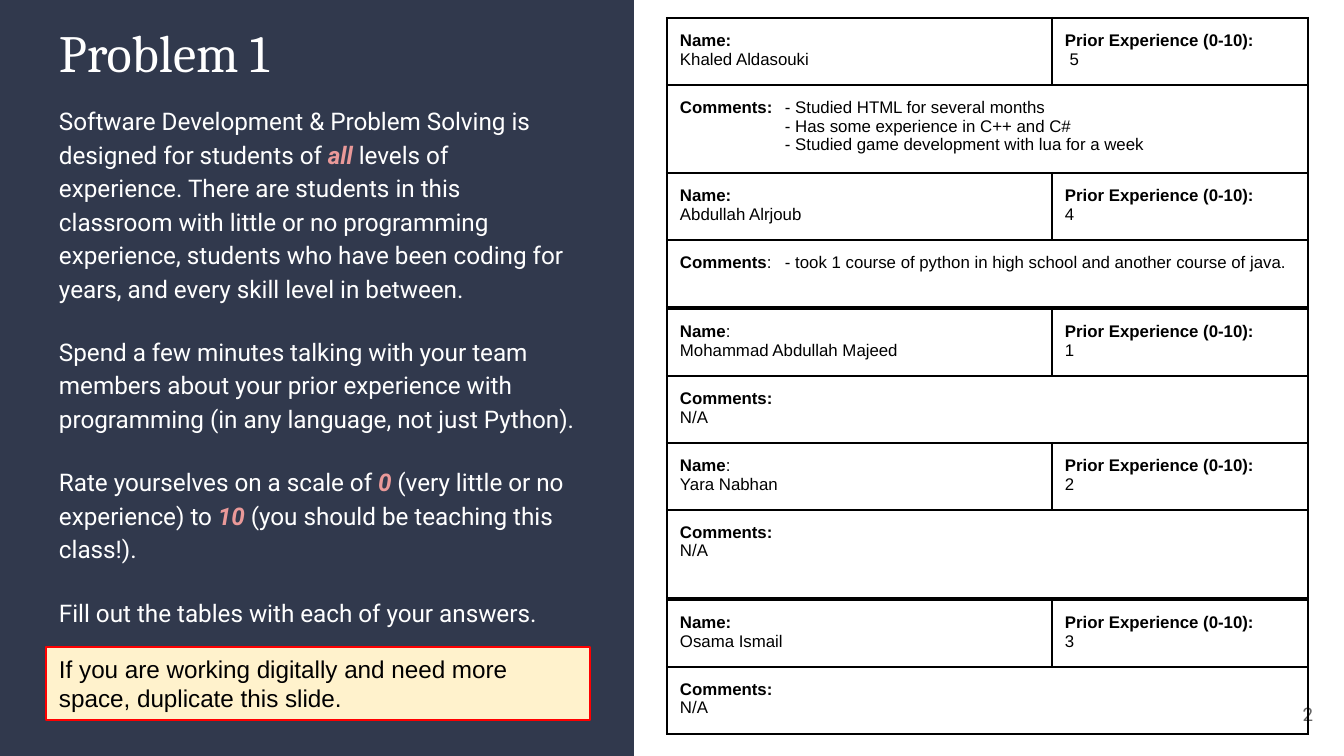
from lxml import etree
from pptx import Presentation
from pptx.dml.color import RGBColor
from pptx.enum.shapes import MSO_SHAPE
from pptx.enum.text import MSO_ANCHOR, PP_ALIGN
from pptx.oxml.ns import qn
from pptx.util import Pt

EMU_PER_PX = 914400 / 134.4
RECTANGLE = MSO_SHAPE.RECTANGLE
TOP, MIDDLE = MSO_ANCHOR.TOP, MSO_ANCHOR.MIDDLE
RIGHT = PP_ALIGN.RIGHT

NAVY = RGBColor(0x31, 0x39, 0x4D)
WHITE = RGBColor(0xFF, 0xFF, 0xFF)
BLACK = RGBColor(0, 0, 0)
GRAY = RGBColor(0x66, 0x66, 0x66)
PINK = RGBColor(0xEA, 0x99, 0x99)
CREAM = RGBColor(0xFF, 0xF2, 0xCC)
RED = RGBColor(0xFF, 0, 0)

# Each paragraph is a list of (text, is emphasized) runs.
INSTRUCTIONS = [
    [("Software Development & Problem Solving is designed for students of ", False),
     ("all ", True),
     ("levels of experience. There are students in this classroom with little or no "
      "programming experience, students who have been coding for years, and every "
      "skill level in between.", False)],
    [("Spend a few minutes talking with your team members about your prior experience "
      "with programming (in any language, not just Python).", False)],
    [("Rate yourselves on a scale of ", False), ("0", True),
     (" (very little or no experience) to ", False), ("10", True),
     (" (you should be teaching this class!).", False)],
    [("Fill out the tables with each of your answers.", False)],
]

TABLE_LEFT = 667
COLUMN_WIDTHS = (385, 256)
ROW_HEIGHT, TALL_ROW_HEIGHT = 67, 88
COMMENT_INDENT = 105
CELL_MARGIN = 13

# Top, comment row height, name, bold name label, rating, bold comment label, comments
STUDENTS = [
    (18, TALL_ROW_HEIGHT, "Khaled Aldasouki", "Name:", " 5", "Comments:",
     ["- Studied HTML for several months", "- Has some experience in C++ and C#",
      "- Studied game development with lua for a week"]),
    (173, ROW_HEIGHT, "Abdullah Alrjoub", "Name:", "4", "Comments",
     ["- took 1 course of python in high school and another course of java."]),
    (309, ROW_HEIGHT, "Mohammad Abdullah Majeed", "Name", "1", "Comments:", []),
    (443, TALL_ROW_HEIGHT, "Yara Nabhan", "Name", "2", "Comments:", []),
    (600, ROW_HEIGHT, "Osama Ismail", "Name:", "3", "Comments:", []),
]


def px(length):
    return round(length * EMU_PER_PX)


def add_run(paragraph, text, font, size, color, bold=False, italic=False):
    run = paragraph.add_run()
    run.text = text
    run.font.name = font
    run.font.size = Pt(size)
    run.font.color.rgb = color
    run.font.bold = bold
    run.font.italic = italic


def next_paragraph(text_frame):
    """Return the untouched first paragraph, or a new one."""
    first = text_frame.paragraphs[0]
    return text_frame.add_paragraph() if first.runs else first


def prepare_text_frame(text_frame, anchor):
    text_frame.word_wrap = True
    text_frame.vertical_anchor = anchor
    text_frame.margin_left = text_frame.margin_right = px(CELL_MARGIN)
    text_frame.margin_top = text_frame.margin_bottom = px(CELL_MARGIN)
    return text_frame


def add_text_box(slide, left, top, width, height, anchor=TOP):
    box = slide.shapes.add_textbox(px(left), px(top), px(width), px(height))
    return prepare_text_frame(box.text_frame, anchor)


def add_rectangle(slide, left, top, width, height, fill, line=None):
    shape = slide.shapes.add_shape(RECTANGLE, px(left), px(top), px(width), px(height))
    shape.shadow.inherit = False
    shape.fill.solid()
    shape.fill.fore_color.rgb = fill
    if line is None:
        shape.line.fill.background()
    else:
        shape.line.color.rgb = line
        shape.line.width = Pt(1.5)
    return shape


def add_instructions(slide):
    text_frame = add_text_box(slide, 46, 89, 544, 552)
    for index, runs in enumerate(INSTRUCTIONS):
        paragraph = next_paragraph(text_frame)
        paragraph.line_spacing = 1.15
        paragraph.space_before = Pt(16 if index else 0)
        for text, emphasized in runs:
            add_run(paragraph, text, "Roboto", 13, PINK if emphasized else WHITE,
                    emphasized, emphasized)


def style_cell(cell):
    """Give the cell black borders, even margins and no fill."""
    cell.margin_left = cell.margin_right = px(CELL_MARGIN)
    cell.margin_top = cell.margin_bottom = px(CELL_MARGIN)
    properties = cell._tc.get_or_add_tcPr()
    for side in ("lnL", "lnR", "lnT", "lnB"):
        border = etree.SubElement(properties, qn(f"a:{side}"), w=str(Pt(1.5)))
        fill = etree.SubElement(border, qn("a:solidFill"))
        etree.SubElement(fill, qn("a:srgbClr"), val=str(BLACK))
    cell.fill.background()


def add_cell_line(cell, label="", text=""):
    """Add a paragraph with a bold label and plain text."""
    paragraph = next_paragraph(cell.text_frame)
    for part, bold in ((label, True), (text, False)):
        if part:
            add_run(paragraph, part, "Arial", 9, BLACK, bold)
    return paragraph


def add_label(cell, label):
    add_cell_line(cell, label, "" if label.endswith(":") else ":")


def add_comments(cell, label, comments):
    if not comments:
        add_label(cell, label)
        add_cell_line(cell, text="N/A")
        return
    colon = "" if label.endswith(":") else ":"
    for index, comment in enumerate(comments):
        if index == 0:
            paragraph = add_cell_line(cell, label, f"{colon}\t{comment}")
        else:
            paragraph = add_cell_line(cell, text=comment)
        properties = paragraph._p.get_or_add_pPr()
        properties.set("marL", str(px(COMMENT_INDENT)))
        properties.set("indent", str(0 if index else -px(COMMENT_INDENT)))


def add_student_table(slide, top, comment_height, name, name_label, rating,
                      comment_label, comments):
    heights = (ROW_HEIGHT, comment_height)
    table = slide.shapes.add_table(2, 2, px(TABLE_LEFT), px(top), px(sum(COLUMN_WIDTHS)),
                                   px(sum(heights))).table
    table.first_row = table.horz_banding = False
    for column, width in zip(table.columns, COLUMN_WIDTHS):
        column.width = px(width)
    for row, height in zip(table.rows, heights):
        row.height = px(height)
    for cell in table.iter_cells():
        style_cell(cell)
    table.cell(1, 0).merge(table.cell(1, 1))

    add_label(table.cell(0, 0), name_label)
    add_cell_line(table.cell(0, 0), text=name)
    add_label(table.cell(0, 1), "Prior Experience (0-10):")
    add_cell_line(table.cell(0, 1), text=rating)
    add_comments(table.cell(1, 0), comment_label, comments)


def main():
    presentation = Presentation()
    presentation.slide_width, presentation.slide_height = px(1344), px(756)
    slide = presentation.slides.add_slide(presentation.slide_layouts[6])

    add_rectangle(slide, 0, 0, 634, 756, NAVY)
    title = add_text_box(slide, 46, 7, 544, 94)
    add_run(title.paragraphs[0], "Problem 1", "Cambria", 28, WHITE)
    number = add_text_box(slide, 1246, 685, 80, 58, MIDDLE).paragraphs[0]
    number.alignment = RIGHT
    add_run(number, "2", "Roboto", 10, GRAY)
    add_instructions(slide)

    note = add_rectangle(slide, 46, 647, 544, 73, CREAM, RED)
    note_paragraph = prepare_text_frame(note.text_frame, MIDDLE).paragraphs[0]
    note_paragraph.alignment = PP_ALIGN.LEFT
    add_run(note_paragraph, "If you are working digitally and need more space, "
            "duplicate this slide.", "Arial", 13, BLACK)

    for student in STUDENTS:
        add_student_table(slide, *student)
    presentation.save("out.pptx")


if __name__ == "__main__":
    main()
